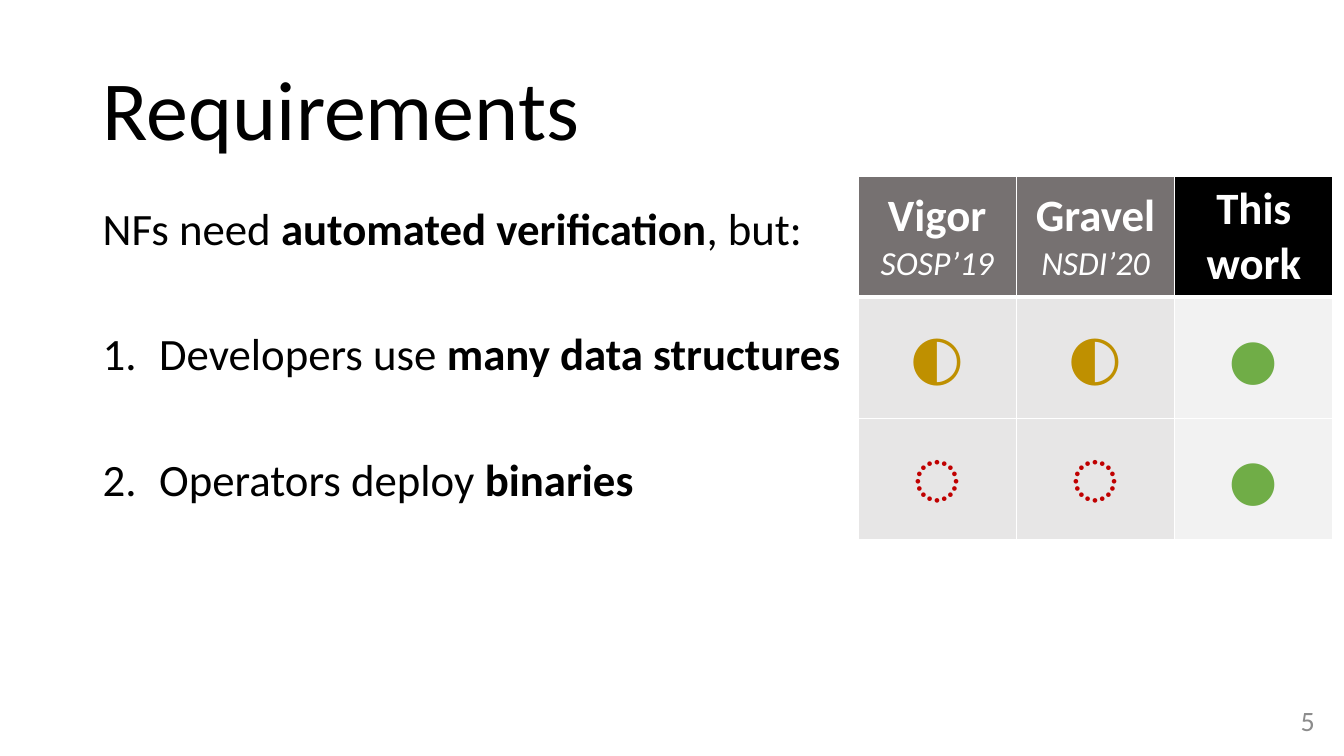
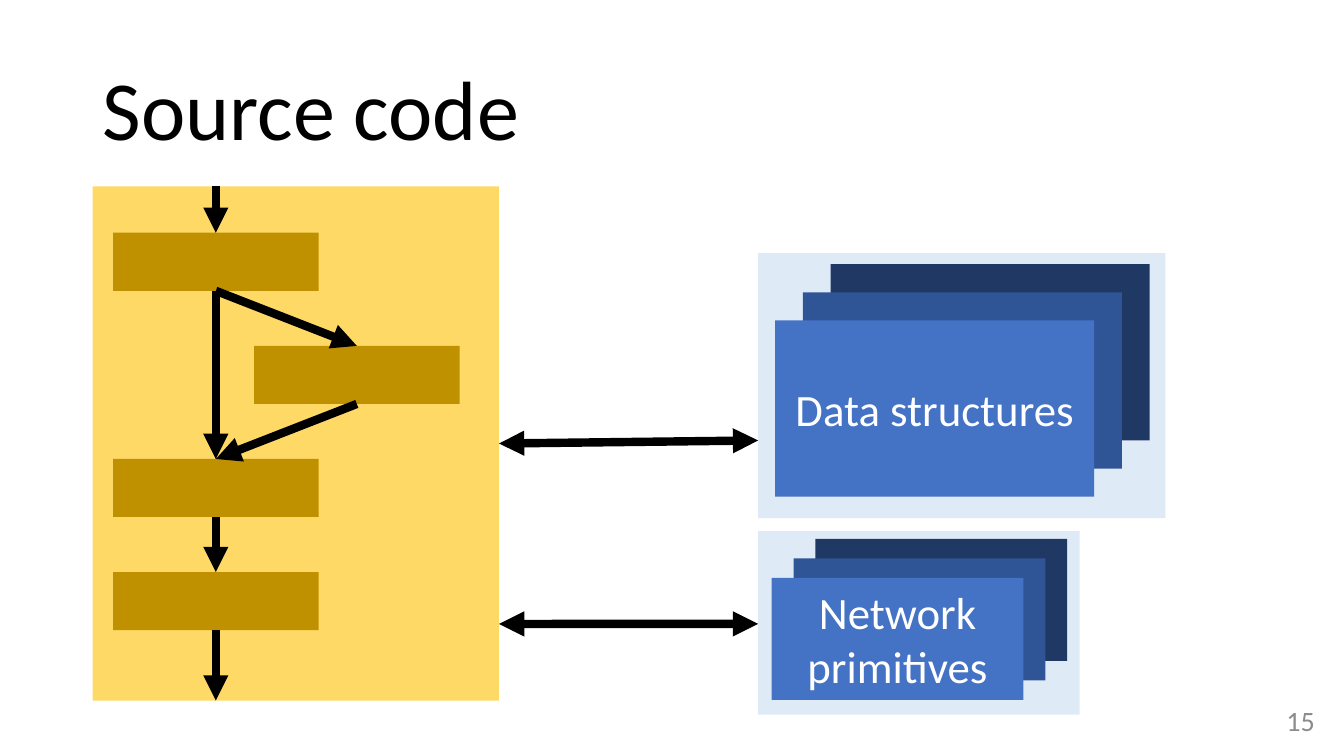
"""Build two slides: a requirements table and a source code diagram."""
import dataclasses

import lxml.etree
import pptx
import pptx.dml.color
import pptx.enum.shapes
import pptx.enum.text
import pptx.oxml.ns
import pptx.util

FONT = "Calibri"
COLORS = {
    "black": "000000", "white": "FFFFFF", "page": "8C8C8C",
    "head": "767171", "cell": "E7E6E6", "ours": "F2F2F2",
    "half": "BF9000", "full": "70AD47", "none": "C00000",
    "code": "FFD966", "block": "BF9000", "panel": "DEEBF7",
    "back": "203864", "mid": "2F5597", "front": "4472C4",
}
ALIGN = {
    "left": pptx.enum.text.PP_ALIGN.LEFT,
    "mid": pptx.enum.text.PP_ALIGN.CENTER,
    "right": pptx.enum.text.PP_ALIGN.RIGHT,
}
MIDDLE = pptx.enum.text.MSO_ANCHOR.MIDDLE
TOP = pptx.enum.text.MSO_ANCHOR.TOP


@dataclasses.dataclass
class Box:
    """A rectangle in inches."""
    x: float
    y: float
    w: float
    h: float

    def inner(self, x, y, w, h):
        """Return an inner box given in percent of this one."""
        return Box(*self.at(x, y), self.w * w / 100, self.h * h / 100)

    def at(self, x, y):
        """Return the point at a percentage of the width and height."""
        return self.x + self.w * x / 100, self.y + self.h * y / 100

    def emu(self):
        """Return left, top, width and height as lengths."""
        return [pptx.util.Inches(v) for v in (self.x, self.y, self.w, self.h)]


PAGE = Box(0, 0, 13.33, 7.5)


def rgb(name):
    """Return the named colour."""
    return pptx.dml.color.RGBColor.from_string(COLORS[name])


def add_xml(parent, tag, **attrs):
    """Append a drawing element to its parent."""
    return lxml.etree.SubElement(parent, pptx.oxml.ns.qn("a:" + tag), **attrs)


def write(frame, *paras, size=32, color="black", align="left", anchor=MIDDLE,
          lines=1.0, gap=0, number=False):
    """Fill a frame with paragraphs of (text, style) runs."""
    frame.word_wrap = True
    frame.vertical_anchor = anchor
    for i, runs in enumerate(paras):
        para = frame.add_paragraph() if i else frame.paragraphs[0]
        para.alignment = ALIGN[align]
        para.line_spacing = lines
        para.space_before = pptx.util.Pt(gap)
        for text, style in runs:
            if text == "\n":
                para.add_line_break()
                continue
            run = para.add_run()
            run.text = text
            font = run.font
            font.name = FONT
            font.size = pptx.util.Pt(style.get("size", size))
            font.bold = style.get("bold", False)
            font.italic = style.get("italic", False)
            font.color.rgb = rgb(color)
        if number and i:
            props = para._p.get_or_add_pPr()
            indent = pptx.util.Inches(0.56)
            props.set("marL", str(indent))
            props.set("indent", str(-indent))
            add_xml(props, "buFont", typeface="+mj-lt")
            add_xml(props, "buAutoNum", type="arabicPeriod")


def label(slide, box, *paras, **style):
    """Add a text box."""
    write(slide.shapes.add_textbox(*box.emu()).text_frame, *paras, **style)


def rect(slide, box, fill):
    """Add a plain filled rectangle."""
    kind = pptx.enum.shapes.MSO_SHAPE.RECTANGLE
    shape = slide.shapes.add_shape(kind, *box.emu())
    shape.shadow.inherit = False
    shape.fill.solid()
    shape.fill.fore_color.rgb = rgb(fill)
    shape.line.fill.background()
    return shape


def arrow(slide, start, end, both=False):
    """Join two points by a thick arrow."""
    ends = [pptx.util.Inches(v) for v in (*start, *end)]
    kind = pptx.enum.shapes.MSO_CONNECTOR.STRAIGHT
    link = slide.shapes.add_connector(kind, *ends)
    link.line.width = pptx.util.Pt(6)
    link.line.color.rgb = rgb("black")
    line = link.line._get_or_add_ln()
    if both:
        add_xml(line, "headEnd", type="triangle")
    add_xml(line, "tailEnd", type="triangle")
    add_xml(link._element.spPr, "effectLst")


def base(deck, title, page):
    """Add a slide with its title and page number."""
    slide = deck.slides.add_slide(deck.slide_layouts[6])
    label(slide, PAGE.inner(6.9, 5.33, 86.27, 19.33), [(title, {})],
          size=60, lines=0.9)
    label(slide, PAGE.inner(76.07, 92.67, 22.5, 5.33), [(page, {})],
          size=20, color="page", align="right")
    return slide


def edge(cell, bottom):
    """Draw white borders round a cell."""
    props = cell._tc.get_or_add_tcPr()
    for side in "LRTB":
        width = pptx.util.Pt(bottom if side == "B" else 1)
        line = add_xml(props, "ln" + side, w=str(width))
        fill = add_xml(line, "solidFill")
        add_xml(fill, "srgbClr", val=COLORS["white"])


def grid(slide, box):
    """Add the table that compares the tools."""
    bold, note = {"bold": True}, {"size": 24, "italic": True}
    half = ([("◐", {})], 44, "half")
    none = ([("◌", {})], 60, "none")
    full = ([("●", {})], 66, "full")
    heads = [
        [("Vigor", bold), ("\n", {}), ("SOSP’19", note)],
        [("Gravel", bold), ("\n", {}), ("NSDI’20", note)],
        [("This", bold), ("\n", {}), ("work", bold)],
    ]
    rows = [
        [(runs, 32, "white") for runs in heads],
        [half, half, full],
        [none, none, full],
    ]
    fills = [("head", "head", "black")] + [("cell", "cell", "ours")] * 2
    table = slide.shapes.add_table(3, 3, *box.emu()).table
    for i, row in enumerate(rows):
        for j, (runs, size, color) in enumerate(row):
            cell = table.cell(i, j)
            edge(cell, 1 if i else 3)
            cell.fill.solid()
            cell.fill.fore_color.rgb = rgb(fills[i][j])
            write(cell.text_frame, runs, size=size, color=color, align="mid")
            cell.vertical_anchor = MIDDLE


def needs(deck):
    """Build the requirements slide."""
    slide = base(deck, "Requirements", "5")
    bold = {"bold": True}
    label(slide, PAGE.inner(6.9, 26.67, 86.27, 63.47),
          [("NFs need ", {}), ("automated verification", bold),
           (", but:", {})],
          [("Developers use ", {}), ("many data structures", bold)],
          [("Operators deploy ", {}), ("binaries", bold)],
          anchor=TOP, lines=0.9, gap=55, number=True)
    grid(slide, PAGE.inner(63.84, 23.33, 35.35, 48))


def flow(slide, box):
    """Draw the code panel with its blocks and control flow."""
    rect(slide, box, "code")
    blocks = [box.inner(x, 9 + 22 * i, 50.6, 11.3)
              for i, x in enumerate((5, 39.7, 5, 5))]
    for block in blocks:
        rect(slide, block, "block")
    tops = [block.at(50, 0) for block in blocks]
    feet = [block.at(50, 100) for block in blocks]
    mid = tops[0][0]
    arrow(slide, (mid, box.y), tops[0])
    for i, j in ((0, 2), (0, 1), (1, 2), (2, 3)):
        arrow(slide, feet[i], tops[j])
    arrow(slide, feet[3], (mid, box.y + box.h))


def stack(slide, box, text):
    """Draw a panel of three stacked cards with text on the front one."""
    rect(slide, box, "panel")
    for i, fill in enumerate(("back", "mid", "front")):
        spot = box.inner(17.8 - 6.8 * i, 4.2 + 10.6 * i, 78.3, 66.5)
        card = rect(slide, spot, fill)
    write(card.text_frame, [(text, {})], color="white", align="mid")


def source(deck):
    """Build the source code slide."""
    slide = base(deck, "Source code", "15")
    code = PAGE.inner(6.9, 24.67, 30.23, 68)
    data = PAGE.inner(56.41, 33.47, 30.31, 35.07)
    net = PAGE.inner(56.41, 70.27, 23.93, 24.27)
    flow(slide, code)
    stack(slide, data, "Data structures")
    stack(slide, net, "Network primitives")
    arrow(slide, code.at(100, 50), data.at(0, 70.7), both=True)
    arrow(slide, code.at(100, 85.1), net.at(0, 50.5), both=True)


def main():
    """Build and save the deck."""
    deck = pptx.Presentation()
    deck.slide_width = pptx.util.Inches(PAGE.w)
    deck.slide_height = pptx.util.Inches(PAGE.h)
    needs(deck)
    source(deck)
    deck.save("out.pptx")


if __name__ == "__main__":
    main()
